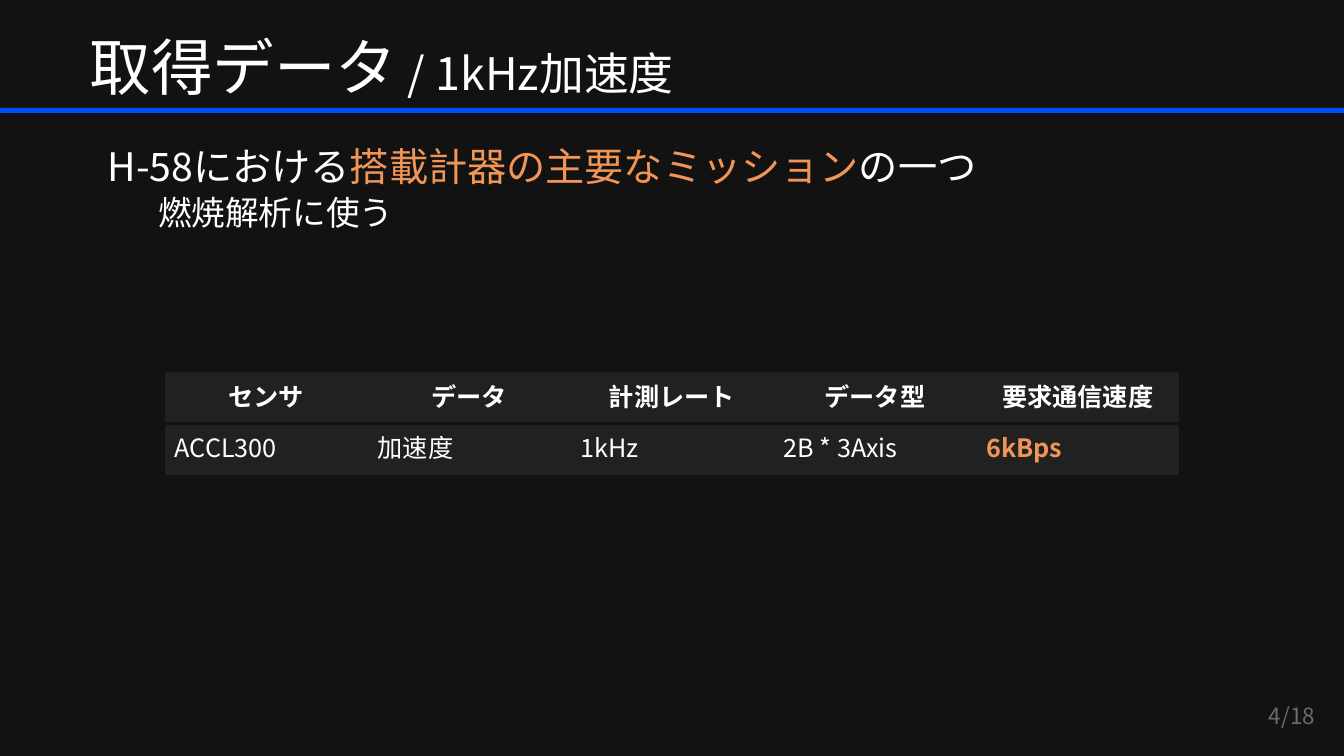
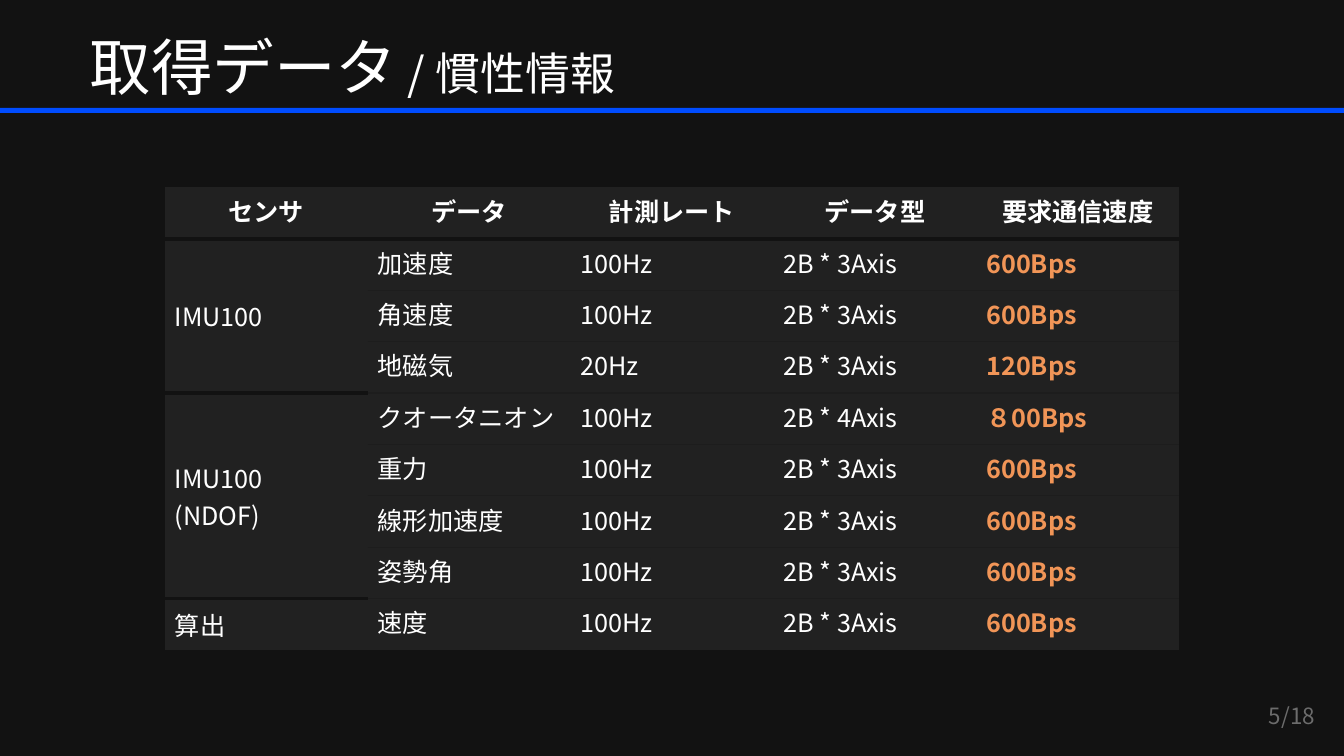
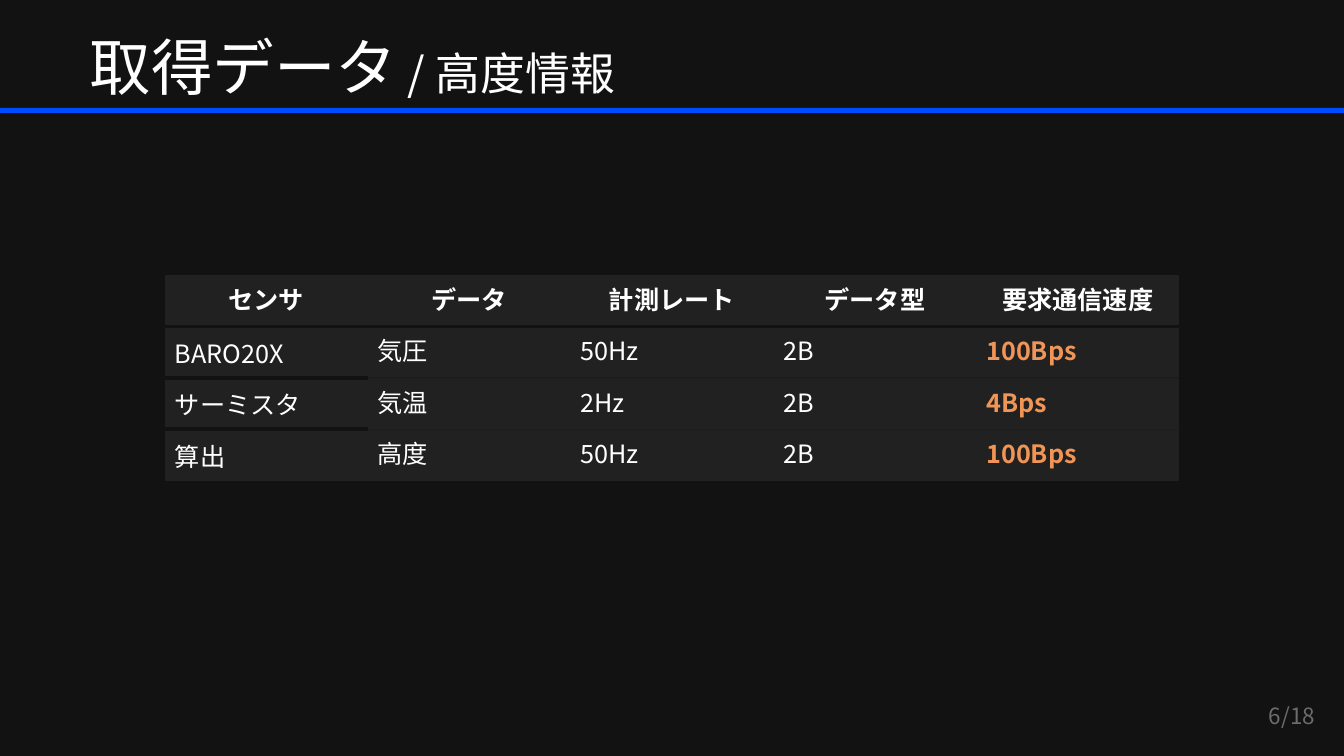
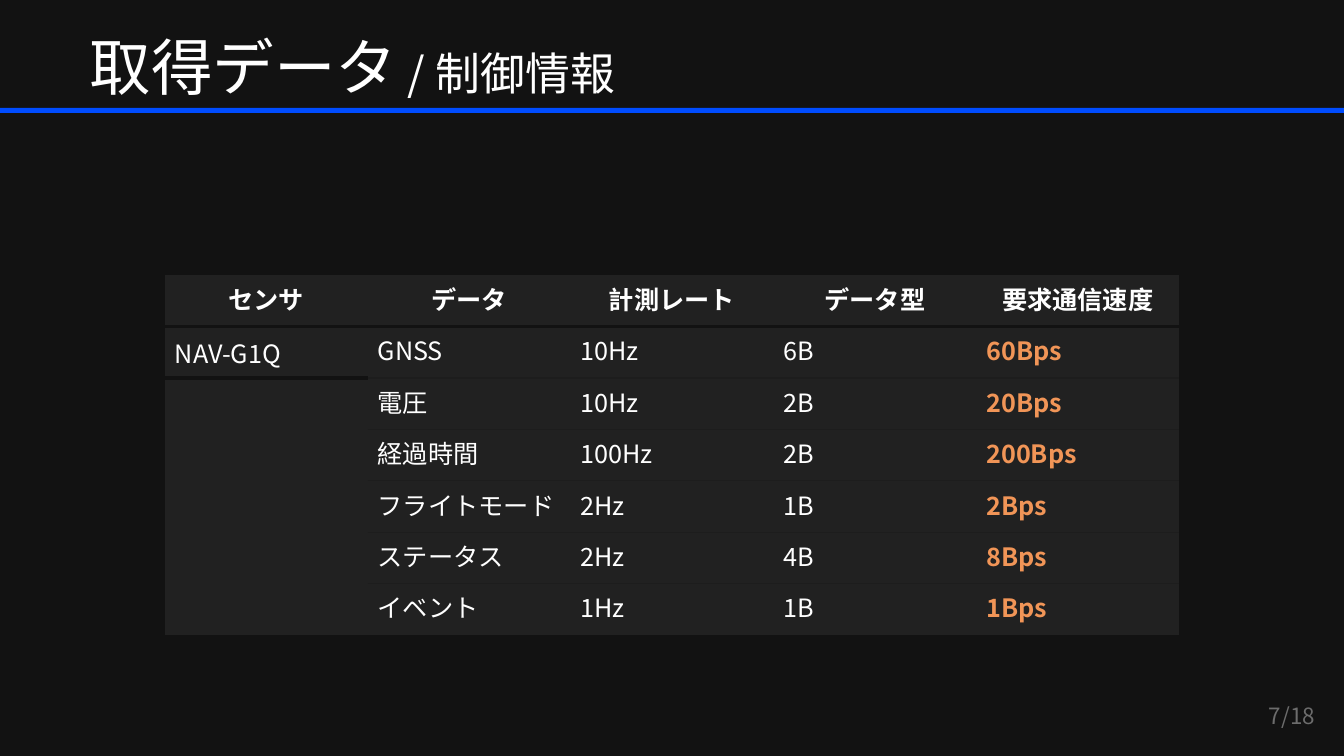
"""Build four slides on the data a rocket's sensors acquire."""
from lxml import etree
from pptx import Presentation
from pptx.dml.color import RGBColor
from pptx.enum.shapes import MSO_SHAPE
from pptx.enum.text import MSO_ANCHOR, MSO_AUTO_SIZE, PP_ALIGN
from pptx.oxml.ns import qn
from pptx.util import Inches, Pt

RECTANGLE = MSO_SHAPE.RECTANGLE
MIDDLE, BOTTOM = MSO_ANCHOR.MIDDLE, MSO_ANCHOR.BOTTOM
CENTER, RIGHT = PP_ALIGN.CENTER, PP_ALIGN.RIGHT
GROW = MSO_AUTO_SIZE.SHAPE_TO_FIT_TEXT

BACKGROUND = RGBColor(0x12, 0x12, 0x12)
CELL = RGBColor(0x21, 0x21, 0x21)
HAIRLINE = RGBColor(0x1D, 0x1D, 0x1D)
WHITE = RGBColor(0xFF, 0xFF, 0xFF)
ORANGE = RGBColor(0xF1, 0x95, 0x57)
BLUE = RGBColor(0x00, 0x4C, 0xFF)
GRAY = RGBColor(0x6C, 0x6C, 0x6C)
FONT = "Noto Sans CJK JP"
PLAIN_TABLE_STYLE = "{2D5ABB26-0587-4C30-8999-92F81FD0307C}"

SLIDE_WIDTH, SLIDE_HEIGHT = Inches(13.33), Inches(7.5)
TABLE_WIDTH = Inches(10.06)
ROW_HEIGHT = Inches(0.51)
FIRST_PAGE, PAGE_COUNT = 4, 18
TITLE = "取得データ"
HEADER = ("センサ", "データ", "計測レート", "データ型", "要求通信速度")

# None as the sensor continues the group above
PAGES = [
    ("1kHz加速度", 3.69, [("ACCL300", "加速度", "1kHz", "2B * 3Axis", "6kBps")]),
    ("慣性情報", 1.86, [
        ("IMU100", "加速度", "100Hz", "2B * 3Axis", "600Bps"),
        (None, "角速度", "100Hz", "2B * 3Axis", "600Bps"),
        (None, "地磁気", "20Hz", "2B * 3Axis", "120Bps"),
        ("IMU100\n(NDOF)", "クオータニオン", "100Hz", "2B * 4Axis", "８00Bps"),
        (None, "重力", "100Hz", "2B * 3Axis", "600Bps"),
        (None, "線形加速度", "100Hz", "2B * 3Axis", "600Bps"),
        (None, "姿勢角", "100Hz", "2B * 3Axis", "600Bps"),
        ("算出", "速度", "100Hz", "2B * 3Axis", "600Bps"),
    ]),
    ("高度情報", 2.73, [
        ("BARO20X", "気圧", "50Hz", "2B", "100Bps"),
        ("サーミスタ", "気温", "2Hz", "2B", "4Bps"),
        ("算出", "高度", "50Hz", "2B", "100Bps"),
    ]),
    ("制御情報", 2.73, [
        ("NAV-G1Q", "GNSS", "10Hz", "6B", "60Bps"),
        ("", "電圧", "10Hz", "2B", "20Bps"),
        (None, "経過時間", "100Hz", "2B", "200Bps"),
        (None, "フライトモード", "2Hz", "1B", "2Bps"),
        (None, "ステータス", "2Hz", "4B", "8Bps"),
        (None, "イベント", "1Hz", "1B", "1Bps"),
    ]),
]
MISSION = [("H-58における", WHITE), ("搭載計器の主要なミッション", ORANGE), ("の一つ", WHITE)]


def format_run(run, size, color=WHITE, bold=False):
    run.font.name = FONT
    run.font.size = Pt(size)
    run.font.bold = bold
    run.font.color.rgb = color
    east_asian = etree.SubElement(run.font._element, qn("a:ea"))
    east_asian.set("typeface", FONT)


def draw_edges(cell, top, bottom, row_count, column):
    properties = cell._tc.get_or_add_tcPr()
    for position, (tag, row) in enumerate((("a:lnT", top), ("a:lnB", bottom))):
        if row in (0, row_count):
            continue
        heavy = row == 1 or column == 0
        line = etree.Element(qn(tag), w=str(Pt(3 if heavy else 1)))
        fill = etree.SubElement(line, qn("a:solidFill"))
        color = BACKGROUND if heavy else HAIRLINE
        etree.SubElement(fill, qn("a:srgbClr"), val=str(color))
        properties.insert(min(position, len(properties) - 1), line)


presentation = Presentation()
presentation.slide_width, presentation.slide_height = SLIDE_WIDTH, SLIDE_HEIGHT
master_fill = presentation.slide_master.background.fill
master_fill.solid()
master_fill.fore_color.rgb = BACKGROUND

for page, (topic, table_top, records) in enumerate(PAGES, FIRST_PAGE):
    slide = presentation.slides.add_slide(presentation.slide_layouts[6])

    band = slide.shapes.add_shape(RECTANGLE, 0, Inches(1.07), SLIDE_WIDTH, Inches(0.05))
    band.shadow.inherit = False
    band.fill.solid()
    band.fill.fore_color.rgb = BLUE
    band.line.fill.background()

    title = slide.shapes.add_textbox(Inches(0.79), Inches(0.12), Inches(10.8), Inches(0.96))
    title.text_frame.word_wrap = True
    title.text_frame.vertical_anchor = BOTTOM
    paragraph = title.text_frame.paragraphs[0]
    paragraph.line_spacing = 0.9
    for text, size in ((TITLE, 44), (f" / {topic}", 32)):
        run = paragraph.add_run()
        run.text = text
        format_run(run, size)

    if page == FIRST_PAGE:
        body = slide.shapes.add_textbox(Inches(0.97), Inches(1.36), Inches(10.72), Inches(1.66))
        frame = body.text_frame
        frame.word_wrap = True
        frame.margin_top = frame.margin_bottom = Inches(0.1)
        paragraph = frame.paragraphs[0]
        paragraph.line_spacing = 0.9
        for text, color in MISSION:
            run = paragraph.add_run()
            run.text = text
            format_run(run, 28, color)
        paragraph = frame.add_paragraph()
        paragraph.text = "燃焼解析に使う"
        paragraph.level = 1
        paragraph.line_spacing = 0.9
        paragraph.space_before = Pt(5)
        paragraph._p.get_or_add_pPr().set("marL", str(Inches(0.5)))
        format_run(paragraph.runs[0], 24)

    rows = [HEADER, *records]
    row_count = len(rows)
    table_frame = slide.shapes.add_table(
        row_count, len(HEADER), (SLIDE_WIDTH - TABLE_WIDTH) // 2, Inches(table_top),
        TABLE_WIDTH, ROW_HEIGHT * row_count)
    table = table_frame.table
    table._tbl.tblPr.find(qn("a:tableStyleId")).text = PLAIN_TABLE_STYLE
    group_starts = [index for index, record in enumerate(rows) if record[0] is not None]
    group_ends = dict(zip(group_starts, group_starts[1:] + [row_count]))

    for row, record in enumerate(rows):
        table.rows[row].height = ROW_HEIGHT
        for column, text in enumerate(record):
            if text is None:
                continue
            cell = table.cell(row, column)
            end = group_ends[row] if column == 0 else row + 1
            if end > row + 1:
                cell.merge(table.cell(end - 1, column))
            cell.fill.solid()
            cell.fill.fore_color.rgb = CELL
            draw_edges(cell, row, end, row_count, column)
            if column == 0 and row > 0 and row_count > 2:
                cell.vertical_anchor = MIDDLE
            cell.text_frame.text = text
            is_rate = row > 0 and column == len(HEADER) - 1
            for paragraph in cell.text_frame.paragraphs:
                if row == 0:
                    paragraph.alignment = CENTER
                for run in paragraph.runs:
                    format_run(run, 18, ORANGE if is_rate else WHITE, row == 0 or is_rate)

    number = slide.shapes.add_textbox(Inches(12.34), Inches(6.92), Inches(0.8), Inches(0.37))
    number.text_frame.word_wrap = False
    number.text_frame.auto_size = GROW
    paragraph = number.text_frame.paragraphs[0]
    paragraph.text = f"{page}/{PAGE_COUNT}"
    paragraph.alignment = RIGHT
    format_run(paragraph.runs[0], 16, GRAY)

presentation.save("out.pptx")
